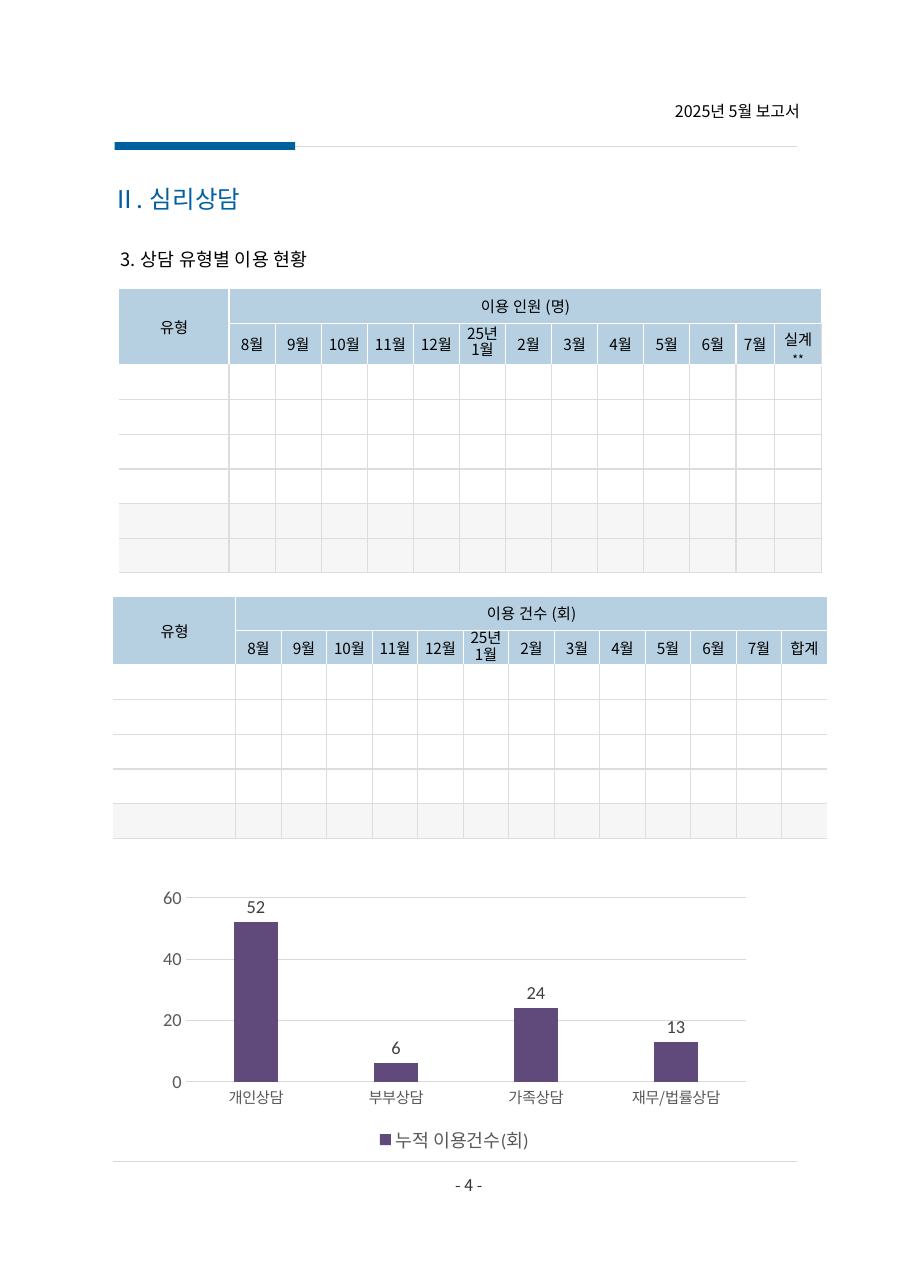
from lxml import etree
from pptx import Presentation
from pptx import util as u
from pptx.chart import data as chart_data
from pptx.dml import color
from pptx.enum import chart as ch, shapes, text
from pptx.oxml import ns

KOREAN, LATIN = "Noto Sans CJK KR", "Calibri"
BLACK, BLUE, HEADER, TOTAL = "000000", "005FA1", "B6D0E1", "F6F6F6"
RULE, GRID, WHITE = "D9D9D9", "DDDDDD", "FFFFFF"
MONTHS = ["8월", "9월", "10월", "11월", "12월", "25년\n1월",
          "2월", "3월", "4월", "5월", "6월", "7월"]
CENTER = text.PP_ALIGN.CENTER


def rgb(code):
    """Turn a hex string into a colour."""
    return color.RGBColor.from_string(code)


def style_font(font, size, code, name=KOREAN):
    """Set size, colour and typeface of a font."""
    font.size, font.name = u.Pt(size), name
    font.color.rgb = rgb(code)


def add_span(para, words, size, code=BLACK, spacing=0):
    """Append one run, with letter spacing in points."""
    span = para.add_run()
    span.text = words
    style_font(span.font, size, code)
    props = span.font._element
    props.set("spc", str(round(spacing * 100)))
    etree.SubElement(props, ns.qn("a:ea"), typeface=KOREAN)


def add_label(page, box, words, size, code=BLACK, align=text.PP_ALIGN.LEFT,
              inset=(0, 0), before=0, leading=1, spacing=0):
    """Place a one-line text box; inset is left and top."""
    frame = page.shapes.add_textbox(*map(u.Inches, box)).text_frame
    frame.word_wrap = True
    frame.auto_size = text.MSO_AUTO_SIZE.SHAPE_TO_FIT_TEXT
    frame.margin_left, frame.margin_top = map(u.Inches, inset)
    frame.margin_right = frame.margin_bottom = 0
    para = frame.paragraphs[0]
    para.alignment, para.line_spacing = align, leading
    para.space_before = u.Pt(before)
    add_span(para, words, size, code, spacing)


def add_rule(page, left, top, width):
    """Draw a thin horizontal grey line."""
    line = page.shapes.add_connector(
        shapes.MSO_CONNECTOR.STRAIGHT,
        *map(u.Inches, (left, top, left + width, top)))
    line.line.color.rgb = rgb(RULE)
    line.line.width = u.Pt(0.75)
    etree.SubElement(line._element.spPr, ns.qn("a:effectLst"))


def add_header(page, left, top, width):
    """Place the report date, the accent rule and the headings."""
    add_label(page, (left + width - 1.66, top, 1.69, 0.19), "2025년 5월 보고서",
              10.5, align=text.PP_ALIGN.RIGHT, inset=(0, 0.01), before=1)
    add_rule(page, left + 1.47, top + 0.42, width - 1.47)
    accent = page.shapes.add_shape(
        shapes.MSO_SHAPE.RECTANGLE,
        *map(u.Inches, (left, top + 0.38, 1.64, 0.07)))
    accent.shadow.inherit = False
    accent.fill.solid()
    accent.fill.fore_color.rgb = rgb(BLUE)
    accent.line.fill.background()
    add_label(page, (left - 0.12, top + 0.71, 2.34, 0.37), "Ⅱ. 심리상담",
              16, BLUE, inset=(0.1, 0.05), spacing=0.2)
    add_label(page, (left, top + 1.16, width, 0.36), "3. 상담 유형별 이용 현황",
              12, inset=(0.05, 0.08), before=6, leading=1.5, spacing=0.2)


def add_footer(page, left, top, width):
    """Place the closing rule and the page number."""
    add_rule(page, left, top, width)
    add_label(page, (left + 2.77, top + 0.1, 0.91, 0.2), "- 4 -", 10.5, "333333",
              align=CENTER, inset=(0, 0.03), before=1.9)


def style_cell(cell, fill, borders):
    """Fill a cell and draw its borders; None means no line."""
    cell.margin_left = cell.margin_right = u.Inches(0.04)
    cell.margin_top = cell.margin_bottom = u.Inches(0.04)
    cell.vertical_anchor = text.MSO_ANCHOR.MIDDLE
    props = cell._tc.get_or_add_tcPr()
    for side, code in borders.items():
        line = etree.SubElement(props, ns.qn(f"a:ln{side}"), w=str(u.Pt(1)))
        if code:
            solid = etree.SubElement(line, ns.qn("a:solidFill"))
            etree.SubElement(solid, ns.qn("a:srgbClr"), val=code)
        else:
            etree.SubElement(line, ns.qn("a:noFill"))
    if fill:
        cell.fill.solid()
        cell.fill.fore_color.rgb = rgb(fill)
    else:
        cell.fill.background()


def write_cell(cell, lines, before):
    """Write centred lines, each a list of (words, size, spacing)."""
    for index, spans in enumerate(lines):
        frame = cell.text_frame
        para = frame.add_paragraph() if index else frame.paragraphs[0]
        para.alignment, para.space_before = CENTER, u.Pt(before)
        if len(lines) > 1:
            para.line_spacing = 0.5
        for words, size, spacing in spans:
            add_span(para, words, size, spacing=spacing)


def add_usage_table(page, box, title, unit, last, widths, header_height,
                    body_rows, total_rows, right_edge):
    """Build a monthly table; widths maps fixed columns, the rest share."""
    left, top, width, height = box
    row_count, col_count = 2 + body_rows, 2 + len(MONTHS)
    table = page.shapes.add_table(row_count, col_count, *map(u.Inches, box)).table
    table.first_row = table.horz_banding = False
    month_width = (width - sum(widths.values())) / (col_count - len(widths))
    for index, column in enumerate(table.columns):
        column.width = u.Inches(widths.get(index, month_width))
    row_height = (height - header_height) / (row_count - 1)
    for index, row in enumerate(table.rows):
        row.height = u.Inches(header_height if index == 1 else row_height)
        for col, cell in enumerate(row.cells):
            head = index < 2
            line = WHITE if head else GRID
            borders = {"L": line if col else None,
                       "R": line if col < col_count - 1 else right_edge,
                       "T": WHITE if index <= 2 else GRID, "B": line}
            total = TOTAL if index >= row_count - total_rows else None
            style_cell(cell, HEADER if head else total, borders)
            if not head:
                etree.SubElement(cell.text_frame.paragraphs[0]._p,
                                 ns.qn("a:endParaRPr"), sz="800")
    table.cell(0, 0).merge(table.cell(1, 0))
    table.cell(0, 1).merge(table.cell(0, col_count - 1))
    write_cell(table.cell(0, 0), [[("유형", 10, 0)]], 9.1)
    write_cell(table.cell(0, 1), [[(title + " ", 10, 0.2), (unit, 10, 0.1)]], 8.8)
    for col, month in enumerate(MONTHS, 1):
        write_cell(table.cell(1, col),
                   [[(words, 10, 0)] for words in month.split("\n")], 3.4)
    write_cell(table.cell(1, col_count - 1), [last], 3.4)


def add_usage_chart(page, box):
    """Build the column chart of counselling sessions by type."""
    data = chart_data.CategoryChartData()
    data.categories = ["개인상담", "부부상담", "가족상담", "재무/법률상담"]
    data.add_series("누적 이용건수(회)", (52, 6, 24, 13))
    chart = page.shapes.add_chart(ch.XL_CHART_TYPE.COLUMN_CLUSTERED,
                                  *map(u.Inches, box), data).chart
    style_font(chart.font, 10, BLACK, LATIN)
    chart.has_title = False
    chart.has_legend = True
    chart.legend.position = ch.XL_LEGEND_POSITION.BOTTOM
    chart.legend.include_in_layout = False
    style_font(chart.legend.font, 12, "595959", LATIN)
    types, counts = chart.category_axis, chart.value_axis
    style_font(types.tick_labels.font, 10, "595959")
    style_font(counts.tick_labels.font, 12, "595959", LATIN)
    counts.minimum_scale, counts.maximum_scale, counts.major_unit = 0, 60, 20
    counts.format.line.fill.background()
    for axis in (types, counts):
        axis.major_tick_mark = axis.minor_tick_mark = ch.XL_TICK_MARK.NONE
    for line in (types.format.line, counts.major_gridlines.format.line):
        line.color.rgb, line.width = rgb(RULE), u.Pt(0.75)
    plot = chart.plots[0]
    plot.gap_width, plot.overlap, plot.vary_by_categories = 219, -27, False
    series = plot.series[0]
    series.format.fill.solid()
    series.format.fill.fore_color.rgb = rgb("604A7B")
    labels = series.data_labels
    labels.show_value = True
    labels.position = ch.XL_LABEL_POSITION.OUTSIDE_END
    style_font(labels.font, 12, "404040", LATIN)


def main():
    """Build the report page."""
    deck = Presentation()
    deck.slide_width, deck.slide_height = u.Inches(8.26), u.Inches(11.69)
    page = deck.slides.add_slide(deck.slide_layouts[6])
    add_header(page, 1.04, 0.91, 6.19)
    add_usage_table(page, (1.08, 2.62, 6.38, 2.56), "이용 인원", "(명)",
                    [("실계", 10, 0), ("**", 8, 0)], {0: 1, 12: 0.35, 13: 0.43},
                    0.36, 6, 2, GRID)
    add_usage_table(page, (1.03, 5.41, 6.48, 2.2), "이용 건수", "(회)",
                    [("합계", 10, 0)], {0: 1.11}, 0.31, 5, 1, None)
    add_usage_chart(page, (1.37, 8, 5.51, 2.51))
    add_footer(page, 1.03, 10.54, 6.2)
    deck.save("out.pptx")


if __name__ == "__main__":
    main()
